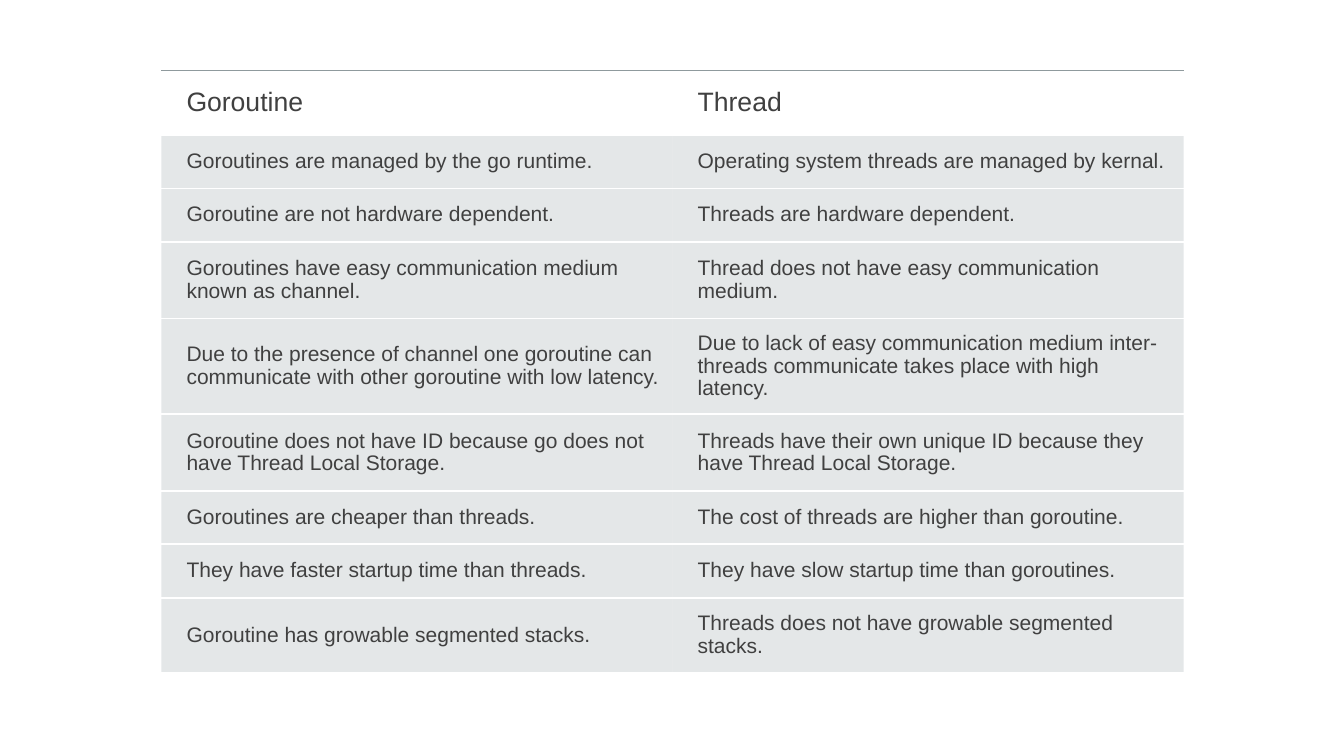
from lxml import etree
from pptx import Presentation
from pptx.dml.color import RGBColor
from pptx.enum.text import MSO_ANCHOR
from pptx.oxml.ns import qn
from pptx.util import Inches, Pt

MIDDLE = MSO_ANCHOR.MIDDLE
BLANK_LAYOUT = 6
COLORS = {"text": "404040", "band": "B4BCBE", "rule": "8F9A9D", "white": "FFFFFF"}
COLUMN_WIDTH = 5.07
ROW_HEIGHTS = [0.64, 0.53, 0.53, 0.76, 0.95, 0.76, 0.53, 0.53, 0.75]
HEADER = {"size": 19, "margin": 0.15}
BODY = {"size": 15, "margin": 0.13}
ROWS = [
    ("Goroutine", "Thread"),
    ("Goroutines are managed by the go runtime.",
     "Operating system threads are managed by kernal."),
    ("Goroutine are not hardware dependent.",
     "Threads are hardware dependent."),
    ("Goroutines have easy communication medium known as channel.",
     "Thread does not have easy communication medium."),
    ("Due to the presence of channel one goroutine can communicate with other "
     "goroutine with low latency.",
     "Due to lack of easy communication medium inter-threads communicate takes "
     "place with high latency."),
    ("Goroutine does not have ID because go does not have Thread Local Storage.",
     "Threads have their own unique ID because they have Thread Local Storage."),
    ("Goroutines are cheaper than threads.",
     "The cost of threads are higher than goroutine."),
    ("They have faster startup time than threads.",
     "They have slow startup time than goroutines."),
    ("Goroutine has growable segmented stacks.",
     "Threads does not have growable segmented stacks."),
]


def add_alpha(color, percent):
    etree.SubElement(color, qn("a:alpha"), val=str(percent * 1000))


def set_borders(cell, top, top_alpha):
    properties = cell._tc.get_or_add_tcPr()
    borders = [("lnL", None, 100), ("lnR", None, 100),
               ("lnT", top, top_alpha), ("lnB", "white", 100)]
    for position, (side, color_name, alpha) in enumerate(borders):
        line = etree.Element(qn(f"a:{side}"), w=str(Pt(1.5)))
        properties.insert(position, line)
        if color_name is None:
            etree.SubElement(line, qn("a:noFill"))
            continue
        fill = etree.SubElement(line, qn("a:solidFill"))
        color = etree.SubElement(fill, qn("a:srgbClr"), val=COLORS[color_name])
        if alpha < 100:
            add_alpha(color, alpha)


def write_cell(cell, text, style):
    margin = Inches(style["margin"])
    layout = {"vertical_anchor": MIDDLE, "margin_left": Inches(0.25),
              "margin_top": margin, "margin_right": margin, "margin_bottom": margin}
    for name, value in layout.items():
        setattr(cell, name, value)
    para = cell.text_frame.paragraphs[0]
    para.line_spacing = 0.97
    span = para.add_run()
    span.text = text
    span.font.color.rgb = RGBColor.from_string(COLORS["text"])
    font = {"name": "Arial", "size": Pt(style["size"]), "bold": False}
    for name, value in font.items():
        setattr(span.font, name, value)


def fill_band(cell):
    cell.fill.solid()
    cell.fill.fore_color.rgb = RGBColor.from_string(COLORS["band"])
    add_alpha(cell._tc.tcPr.find(f"{qn('a:solidFill')}/{qn('a:srgbClr')}"), 35)


def add_comparison(page):
    frame = page.shapes.add_table(
        len(ROWS), 2, Inches(1.6), Inches(0.7),
        Inches(2 * COLUMN_WIDTH), Inches(sum(ROW_HEIGHTS)))
    table = frame.table
    table.horz_banding = False
    for column in table.columns:
        column.width = Inches(COLUMN_WIDTH)
    for row_index, (texts, height) in enumerate(zip(ROWS, ROW_HEIGHTS)):
        table.rows[row_index].height = Inches(height)
        is_header = row_index == 0
        for column_index, text in enumerate(texts):
            cell = table.cell(row_index, column_index)
            write_cell(cell, text, HEADER if is_header else BODY)
            if is_header:
                cell.fill.background()
                set_borders(cell, "rule", 60)
            else:
                fill_band(cell)
                set_borders(cell, "white", 100)


def main():
    deck = Presentation()
    deck.slide_width = Inches(13.33)
    deck.slide_height = Inches(7.5)
    page = deck.slides.add_slide(deck.slide_layouts[BLANK_LAYOUT])
    add_comparison(page)
    deck.save("out.pptx")


if __name__ == "__main__":
    main()
